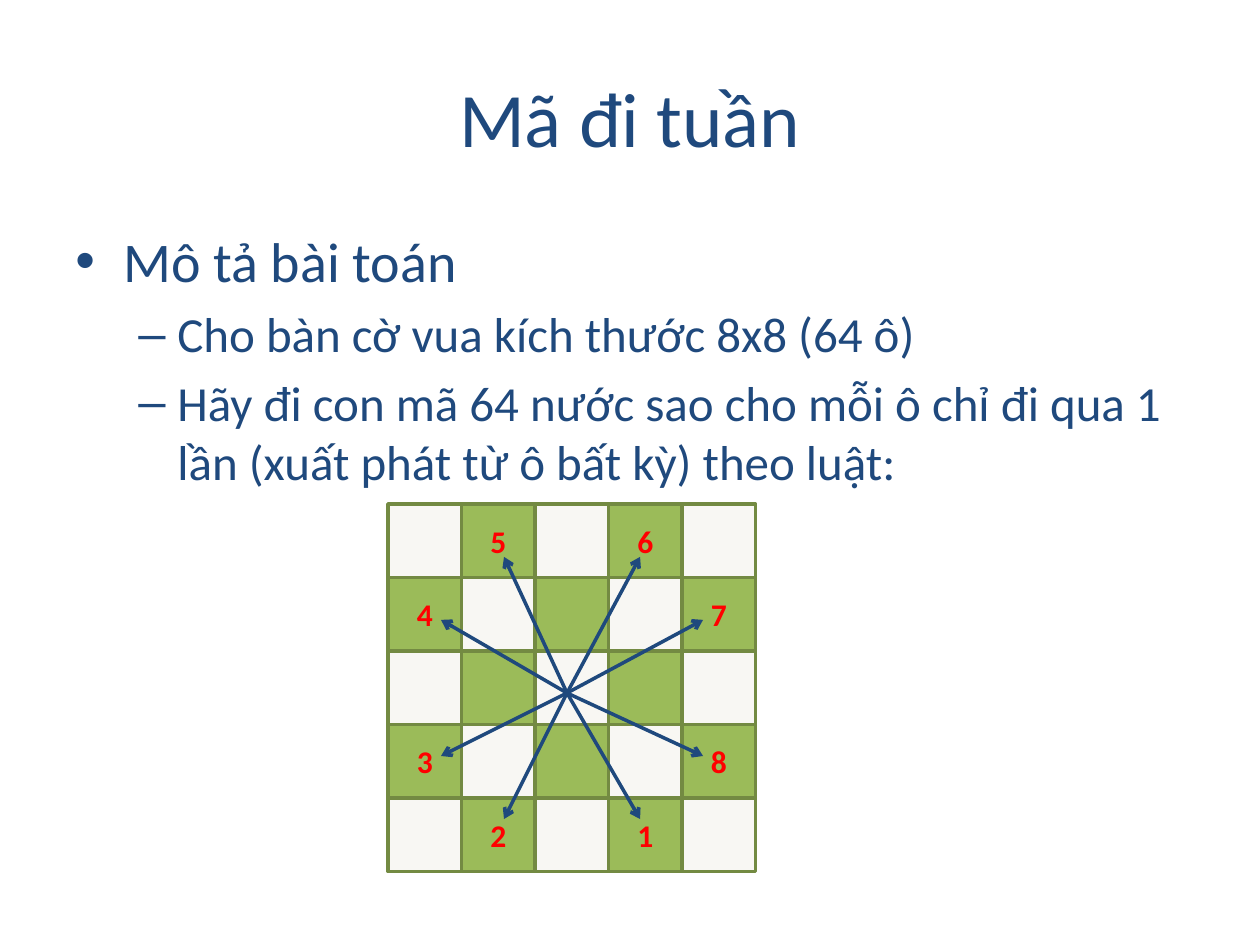
from dataclasses import dataclass

import lxml.etree
import pptx
import pptx.dml.color
import pptx.enum.shapes
import pptx.enum.text
import pptx.oxml.ns
import pptx.util
from pptx.util import Inches


@dataclass(frozen=True)
class Theme:
    font: str = "Calibri"
    navy: str = "1F497D"
    red: str = "FF0000"
    light: str = "F8F7F3"
    green: str = "9BBB59"
    border: str = "738A42"
    title_size: int = 44
    heading_size: int = 32
    detail_size: int = 28
    number_size: int = 18
    line_width: int = 2


@dataclass(frozen=True)
class Bullet:
    text: str
    mark: str
    size: int
    margin: float
    hanging: float


@dataclass(frozen=True)
class Move:
    number: int
    row: int
    column: int
    tip: tuple[float, float]


THEME = Theme()
BOARD_LEFT, BOARD_TOP = 3.08, 4.0
BOARD_CELLS = 5
CELL_SIZE = 7 / 12
KNIGHT = (4.5, 5.5)

BULLETS = [
    Bullet("Mô tả bài toán", "•", THEME.heading_size, 0.38, 0.38),
    Bullet("Cho bàn cờ vua kích thước 8x8 (64 ô)", "–", THEME.detail_size, 0.81, 0.31),
    Bullet(
        "Hãy đi con mã 64 nước sao cho mỗi ô chỉ đi qua 1 lần (xuất phát từ ô bất kỳ) theo luật:",
        "–", THEME.detail_size, 0.81, 0.31,
    ),
]

MOVES = [
    Move(1, 4, 3, (5.08, 6.5)),
    Move(2, 4, 1, (4.0, 6.5)),
    Move(3, 3, 0, (3.5, 6.0)),
    Move(4, 1, 0, (3.5, 4.92)),
    Move(5, 0, 1, (4.0, 4.42)),
    Move(6, 0, 3, (5.08, 4.42)),
    Move(7, 1, 4, (5.58, 4.92)),
    Move(8, 3, 4, (5.58, 6.0)),
]


def color(value: str) -> pptx.dml.color.RGBColor:
    return pptx.dml.color.RGBColor.from_string(value)


def add_element(parent, tag: str, **attributes: str):
    element = lxml.etree.SubElement(parent, pptx.oxml.ns.qn(tag))
    for name, value in attributes.items():
        element.set(name, value)
    return element


def format_runs(para, size: int, text_color: str, bold: bool = False) -> None:
    for run in para.runs:
        run.font.name = THEME.font
        run.font.size = pptx.util.Pt(size)
        run.font.bold = bold
        run.font.color.rgb = color(text_color)


def add_title(page, text: str) -> None:
    box = page.shapes.add_textbox(Inches(0.5), Inches(0.3), Inches(9), Inches(1.25))
    frame = box.text_frame
    frame.word_wrap = True
    frame.vertical_anchor = pptx.enum.text.MSO_ANCHOR.MIDDLE
    frame.text = text
    frame.paragraphs[0].alignment = pptx.enum.text.PP_ALIGN.CENTER
    format_runs(frame.paragraphs[0], THEME.title_size, THEME.navy)


def add_bullets(page, bullets: list[Bullet]) -> None:
    box = page.shapes.add_textbox(Inches(0.5), Inches(1.75), Inches(9), Inches(4.95))
    frame = box.text_frame
    frame.word_wrap = True
    for index, bullet in enumerate(bullets):
        para = frame.add_paragraph() if index else frame.paragraphs[0]
        para.text = bullet.text
        properties = para._p.get_or_add_pPr()
        properties.set("marL", str(Inches(bullet.margin)))
        properties.set("indent", str(-Inches(bullet.hanging)))
        add_element(properties, "a:buFont", typeface="Arial")
        add_element(properties, "a:buChar", char=bullet.mark)
        if index:
            para.level = 1
            para.space_before = pptx.util.Pt(0.2 * bullet.size)
        format_runs(para, bullet.size, THEME.navy)


def add_cell(page, row: int, column: int, label: str) -> None:
    cell = page.shapes.add_shape(
        pptx.enum.shapes.MSO_SHAPE.RECTANGLE,
        Inches(BOARD_LEFT + column * CELL_SIZE),
        Inches(BOARD_TOP + row * CELL_SIZE),
        Inches(CELL_SIZE),
        Inches(CELL_SIZE),
    )
    cell.shadow.inherit = False
    cell.fill.solid()
    cell.fill.fore_color.rgb = color(THEME.green if (row + column) % 2 else THEME.light)
    cell.line.color.rgb = color(THEME.border)
    cell.line.width = pptx.util.Pt(THEME.line_width)
    if label:
        frame = cell.text_frame
        frame.vertical_anchor = pptx.enum.text.MSO_ANCHOR.MIDDLE
        frame.text = label
        frame.paragraphs[0].alignment = pptx.enum.text.PP_ALIGN.CENTER
        format_runs(frame.paragraphs[0], THEME.number_size, THEME.red, bold=True)


def add_board(page, moves: list[Move]) -> None:
    labels = {(move.row, move.column): str(move.number) for move in moves}
    for row in range(BOARD_CELLS):
        for column in range(BOARD_CELLS):
            add_cell(page, row, column, labels.get((row, column), ""))


def add_arrow(page, start: tuple[float, float], end: tuple[float, float]) -> None:
    arrow = page.shapes.add_connector(
        pptx.enum.shapes.MSO_CONNECTOR.STRAIGHT, *map(Inches, start + end)
    )
    arrow.line.color.rgb = color(THEME.navy)
    arrow.line.width = pptx.util.Pt(THEME.line_width)
    add_element(arrow.line._get_or_add_ln(), "a:tailEnd", type="arrow")
    add_element(arrow._element.spPr, "a:effectLst")


def main() -> None:
    deck = pptx.Presentation()
    deck.slide_width, deck.slide_height = Inches(10), Inches(7.5)
    page = deck.slides.add_slide(deck.slide_layouts[6])
    add_title(page, "Mã đi tuần")
    add_bullets(page, BULLETS)
    add_board(page, MOVES)
    for move in MOVES:
        add_arrow(page, KNIGHT, move.tip)
    deck.save("out.pptx")


if __name__ == "__main__":
    main()
